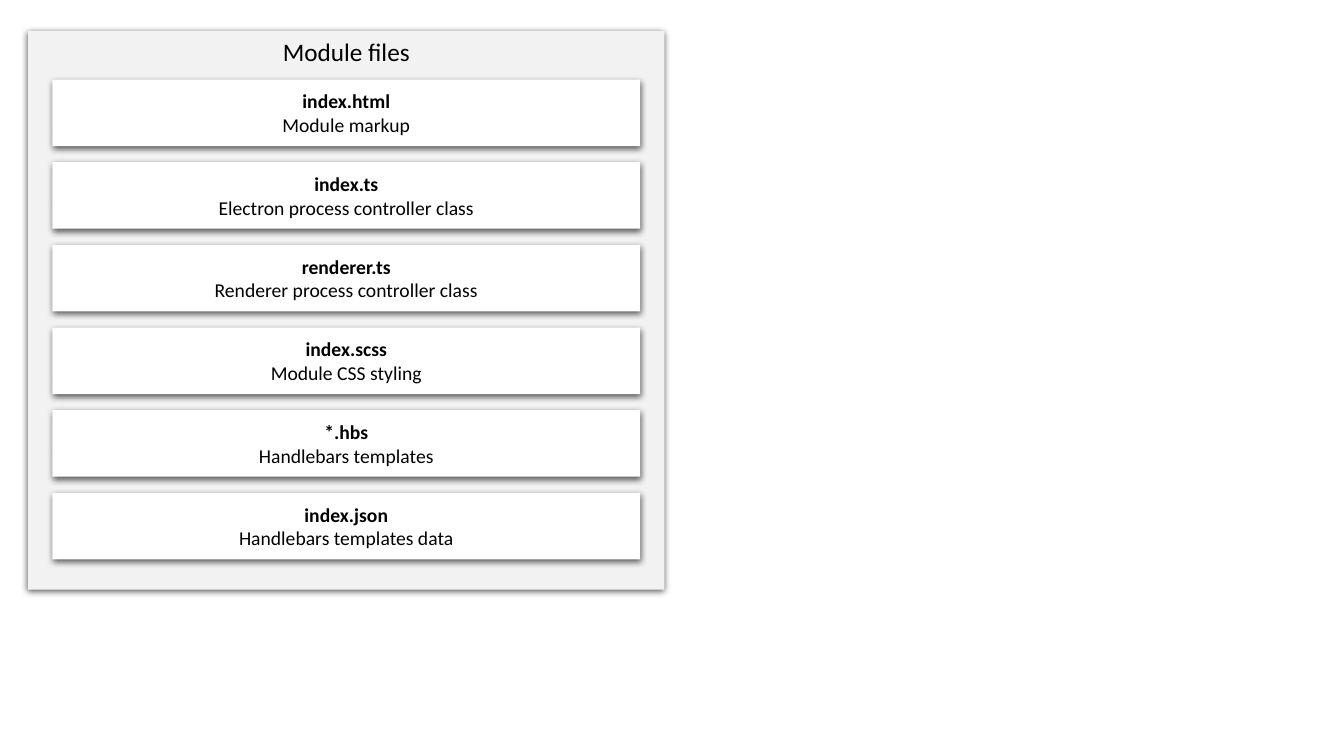
import lxml.etree
import pptx
import pptx.dml.color
import pptx.enum.shapes
import pptx.enum.text
import pptx.oxml.ns
import pptx.util

Inches = pptx.util.Inches
Pt = pptx.util.Pt

COLOURS = {"panel": "F2F2F2", "card": "FFFFFF", "text": "000000", "shadow": "000000"}
FONT = "Calibri"
MODULE_FILES = [
    ("index.html", "Module markup"),
    ("index.ts", "Electron process controller class"),
    ("renderer.ts", "Renderer process controller class"),
    ("index.scss", "Module CSS styling"),
    ("*.hbs", "Handlebars templates"),
    ("index.json", "Handlebars templates data"),
]


def colour(name):
    """Return the named colour as an RGB value."""
    return pptx.dml.color.RGBColor.from_string(COLOURS[name])


def write_text(paragraph, text, size=14, bold=False):
    """Write one centred line of text into a paragraph."""
    paragraph.alignment = pptx.enum.text.PP_ALIGN.CENTER
    run = paragraph.add_run()
    run.text = text
    run.font.name = FONT
    run.font.size = Pt(size)
    run.font.bold = bold
    run.font.color.rgb = colour("text")


def add_shadow(shape):
    """Give a shape a soft shadow that falls straight down."""
    shape.shadow.inherit = False
    qn = pptx.oxml.ns.qn
    effects = shape._element.spPr.find(qn("a:effectLst"))
    shadow = lxml.etree.SubElement(
        effects, qn("a:outerShdw"), blurRad=str(Pt(4.5)), dist=str(Pt(1.5)),
        dir="5400000", algn="t", rotWithShape="0")
    tint = lxml.etree.SubElement(shadow, qn("a:srgbClr"), val=COLOURS["shadow"])
    lxml.etree.SubElement(tint, qn("a:alpha"), val="63000")


def add_box(slide, left, top, width, height, fill, anchor):
    """Add a shadowed rectangle without outline, measured in inches."""
    shape = slide.shapes.add_shape(
        pptx.enum.shapes.MSO_SHAPE.RECTANGLE,
        Inches(left), Inches(top), Inches(width), Inches(height))
    shape.fill.solid()
    shape.fill.fore_color.rgb = colour(fill)
    shape.line.fill.background()
    add_shadow(shape)
    shape.text_frame.word_wrap = True
    shape.text_frame.vertical_anchor = anchor
    return shape


def add_file_card(slide, left, top, width, height, file_name, purpose):
    """Add a card with a bold file name above its purpose."""
    card = add_box(slide, left, top, width, height, "card",
                   pptx.enum.text.MSO_ANCHOR.MIDDLE)
    write_text(card.text_frame.paragraphs[0], file_name, bold=True)
    write_text(card.text_frame.add_paragraph(), purpose)


def add_file_panel(slide, left, top, width, height, heading, files):
    """Add a headed panel that holds an even stack of file cards."""
    panel = add_box(slide, left, top, width, height, "panel",
                    pptx.enum.text.MSO_ANCHOR.TOP)
    write_text(panel.text_frame.paragraphs[0], heading, size=18)
    margin, first_card, pitch, card_height = 0.24, 0.48, 0.82, 0.66
    for index, (file_name, purpose) in enumerate(files):
        add_file_card(slide, left + margin, top + first_card + index * pitch,
                      width - 2 * margin, card_height, file_name, purpose)


def main():
    """Build the slide of module files and save it."""
    presentation = pptx.Presentation()
    presentation.slide_width = Inches(13.33)
    presentation.slide_height = Inches(7.5)
    blank_layout = presentation.slide_layouts[6]
    slide = presentation.slides.add_slide(blank_layout)
    add_file_panel(slide, 0.28, 0.31, 6.31, 5.54, "Module files", MODULE_FILES)
    presentation.save("out.pptx")


main()
